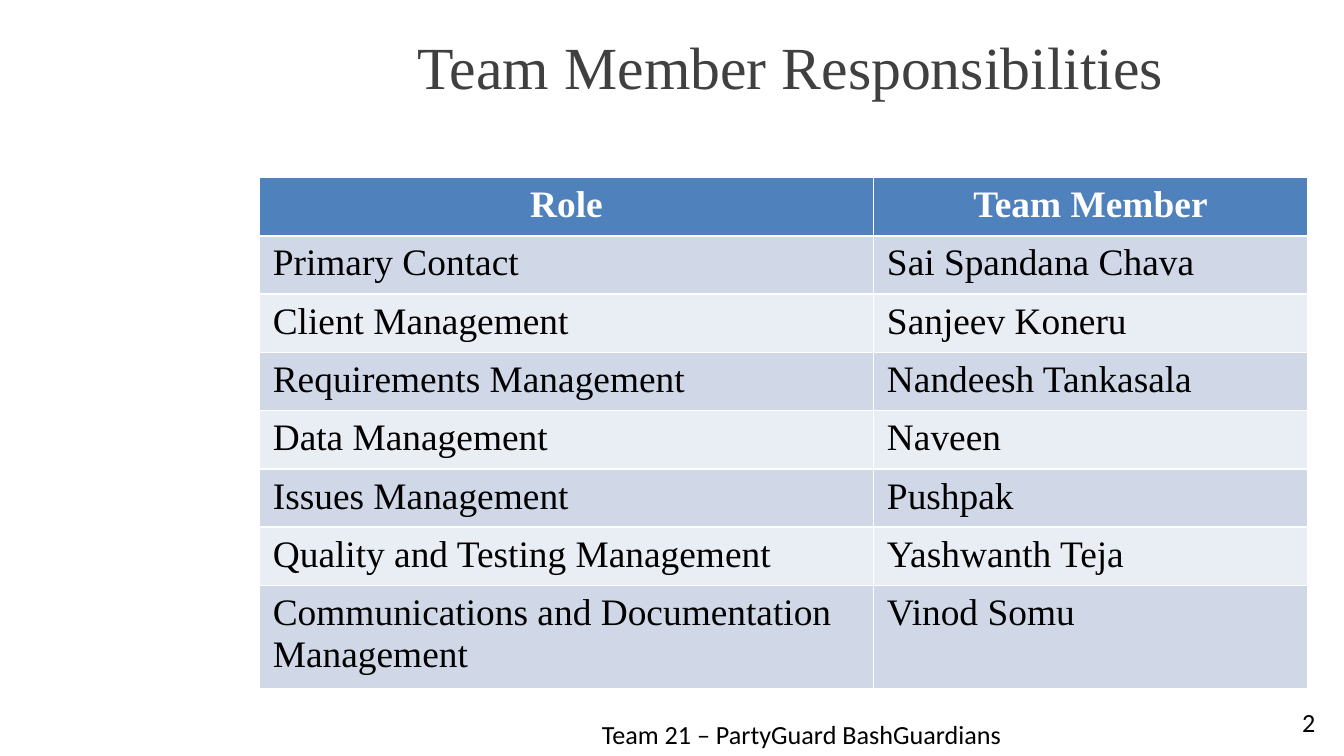
from pptx import Presentation
from pptx import util as u
from pptx.dml.color import RGBColor
from pptx.enum import text

TITLE = "Team Member Responsibilities"
FOOTER = "Team 21 – PartyGuard BashGuardians"
PAGE = "2"
HEADINGS = ("Role", "Team Member")
ASSIGNMENTS = [
    ("Primary Contact", "Sai Spandana Chava"),
    ("Client Management", "Sanjeev Koneru"),
    ("Requirements Management", "Nandeesh Tankasala"),
    ("Data Management", "Naveen"),
    ("Issues Management", "Pushpak"),
    ("Quality and Testing Management", "Yashwanth Teja"),
    ("Communications and Documentation Management", "Vinod Somu"),
]
COLORS = {
    "title": "404040", "ink": "000000", "white": "FFFFFF",
    "header": "4F81BD", "odd": "D0D8E8", "even": "E9EDF4",
}
SERIF, SANS = "Times New Roman", "Calibri"
WIDTH = 10
HEIGHT = WIDTH * 9 / 16
COLUMNS = (4.57, 3.23)
ROW = 0.41
TABLE_LEFT, TABLE_TOP = 1.93, 1.32
TITLE_LEFT, TITLE_HEIGHT = 1.77, 0.97


def write(frame, words, *, size=20, font=SERIF, color="ink", bold=False,
          align=text.PP_ALIGN.LEFT):
    paragraph = frame.paragraphs[0]
    paragraph.alignment = align
    run = paragraph.add_run()
    run.text = words
    run.font.size = u.Pt(size)
    run.font.name = font
    run.font.bold = bold
    run.font.color.rgb = RGBColor.from_string(COLORS[color])


def label(slide, box, words, *, wrap=False, anchor=text.MSO_ANCHOR.TOP, **style):
    frame = slide.shapes.add_textbox(*map(u.Inches, box)).text_frame
    frame.word_wrap = wrap
    frame.vertical_anchor = anchor
    write(frame, words, **style)


def add_responsibilities(slide):
    rows = [HEADINGS, *ASSIGNMENTS]
    box = (TABLE_LEFT, TABLE_TOP, sum(COLUMNS), ROW * len(rows))
    table = slide.shapes.add_table(
        len(rows), len(COLUMNS), *map(u.Inches, box)).table
    for column, width in zip(table.columns, COLUMNS):
        column.width = u.Inches(width)
    for number, entries in enumerate(rows):
        table.rows[number].height = u.Inches(ROW)
        heading = number == 0
        shade = "header" if heading else "odd" if number % 2 else "even"
        for cell, words in zip(table.rows[number].cells, entries):
            cell.fill.solid()
            cell.fill.fore_color.rgb = RGBColor.from_string(COLORS[shade])
            write(cell.text_frame, words, bold=heading,
                  color="white" if heading else "ink",
                  align=text.PP_ALIGN.CENTER if heading else text.PP_ALIGN.LEFT)


def main():
    deck = Presentation()
    deck.slide_width, deck.slide_height = u.Inches(WIDTH), u.Inches(HEIGHT)
    slide = deck.slides.add_slide(deck.slide_layouts[6])
    label(slide, (TITLE_LEFT, 0, WIDTH - TITLE_LEFT, TITLE_HEIGHT), TITLE,
          wrap=True, anchor=text.MSO_ANCHOR.MIDDLE, size=32, color="title",
          align=text.PP_ALIGN.CENTER)
    add_responsibilities(slide)
    label(slide, (4.38, 5.3, 3.23, 0.34), FOOTER, size=14, font=SANS)
    label(slide, (9.59, 5.21, 0.3, 0.34), PAGE, size=14, font=SANS)
    deck.save("out.pptx")


if __name__ == "__main__":
    main()
